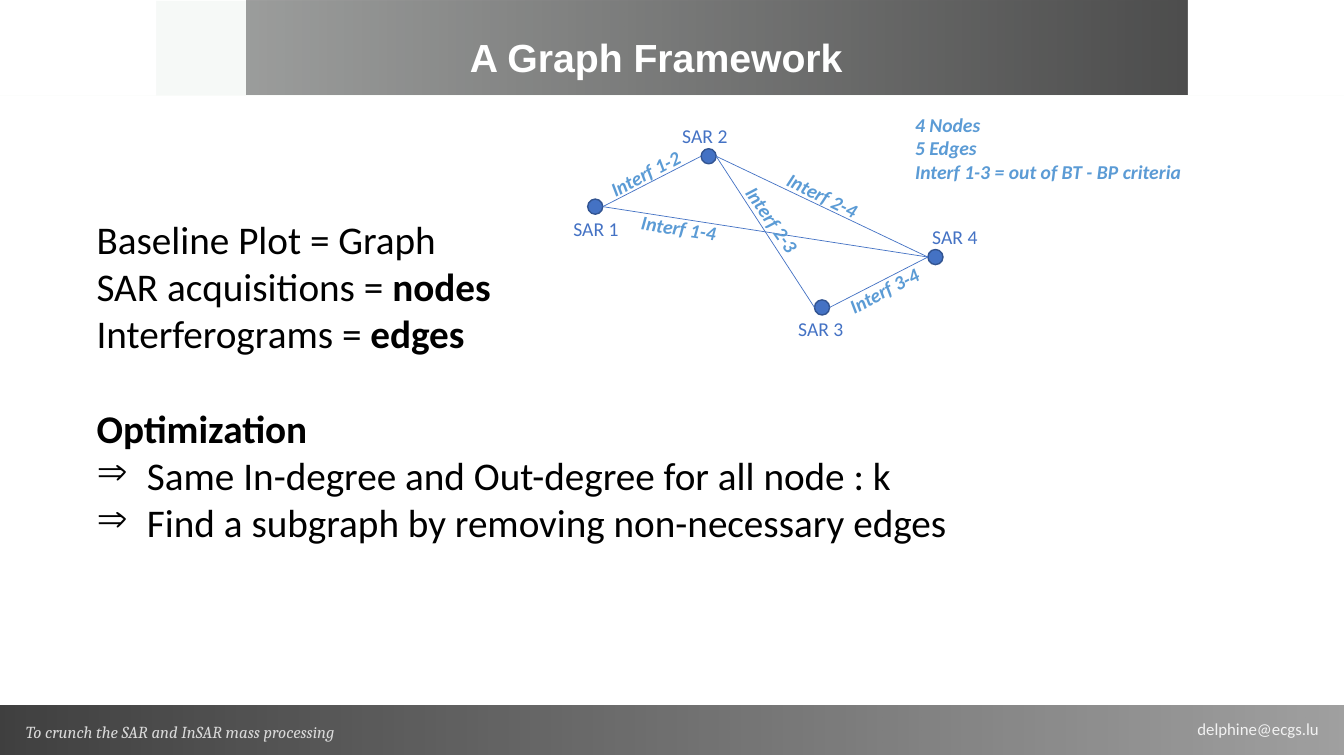
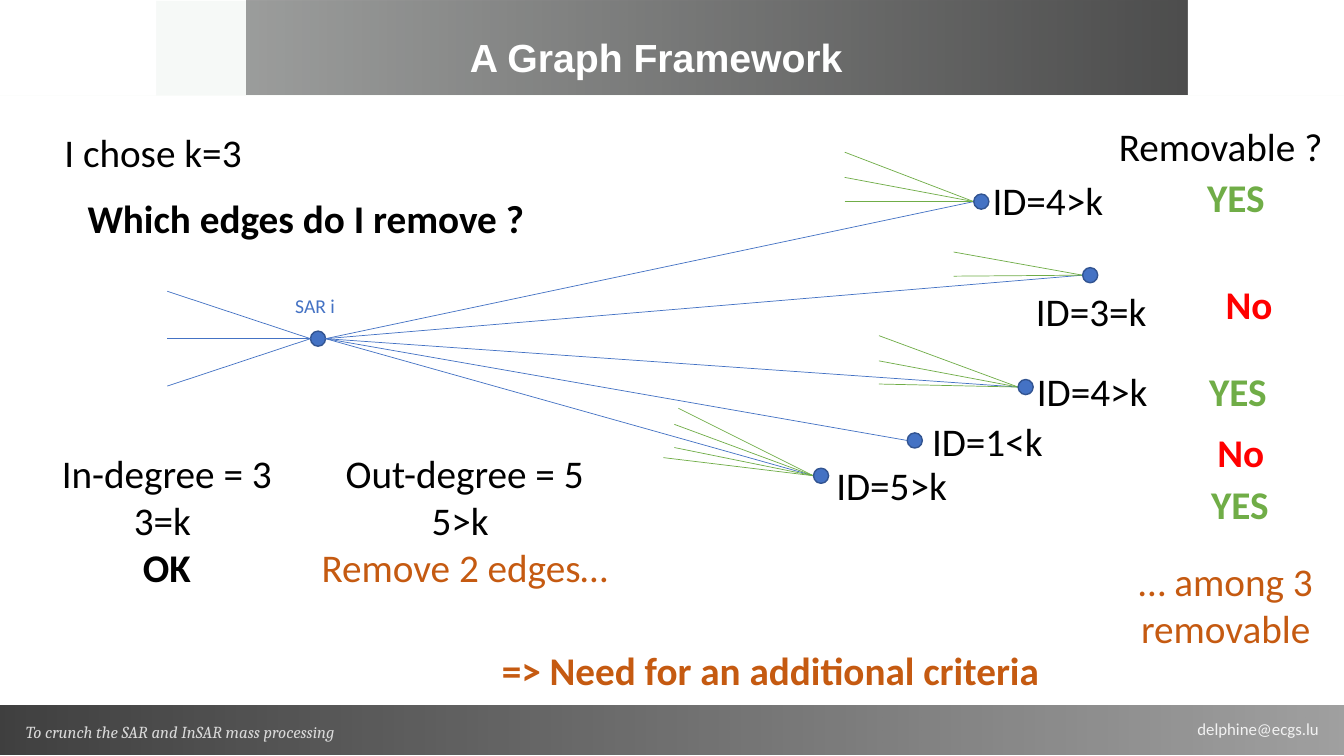
from dataclasses import dataclass
from typing import Optional

from lxml.etree import SubElement
from pptx import Presentation
from pptx.dml.color import RGBColor
from pptx.enum.shapes import MSO_CONNECTOR, MSO_SHAPE
from pptx.enum.text import MSO_ANCHOR, PP_ALIGN
from pptx.oxml.ns import qn
from pptx.shapes.autoshape import Shape
from pptx.slide import Slide
from pptx.util import Emu, Inches, Pt

CELL = Inches(0.1)
COLUMNS, ROWS = 133.33, 75
NODE = 1.5

BLACK = RGBColor(0x00, 0x00, 0x00)
WHITE = RGBColor(0xFF, 0xFF, 0xFF)
CHARCOAL = RGBColor(0x40, 0x40, 0x40)
MIST = RGBColor(0xF6, 0xF9, 0xF7)
MAIL_GREY = RGBColor(0xF2, 0xF2, 0xF2)
MOTTO_GREY = RGBColor(0xD9, 0xD9, 0xD9)
BLUE = RGBColor(0x44, 0x72, 0xC4)
NODE_RIM = RGBColor(0x32, 0x54, 0x91)
SKY = RGBColor(0x5B, 0x9B, 0xD5)
GREEN = RGBColor(0x70, 0xAD, 0x47)
RED = RGBColor(0xFF, 0x00, 0x00)
RUST = RGBColor(0xC5, 0x5A, 0x11)


@dataclass(frozen=True)
class Box:
    left: float
    top: float
    width: float
    height: float


@dataclass(frozen=True)
class Style:
    size: int = 28
    colour: RGBColor = BLACK
    bold: bool = False
    italic: bool = False
    font: str = "Calibri"
    align: PP_ALIGN = PP_ALIGN.LEFT
    outline: str = ""


@dataclass(frozen=True)
class Line:
    text: str
    style: Style
    strong: str = ""
    bullet: str = ""
    space_before: int = 0


@dataclass(frozen=True)
class Acquisition:
    name: str
    column: int
    row: int
    label_left: float
    label_top: float


@dataclass(frozen=True)
class Interferogram:
    first: int
    second: int
    label_left: float
    label_top: float
    rotation: float


@dataclass(frozen=True)
class Target:
    left: float
    middle: float
    degree: str
    degree_left: float
    degree_top: float
    removable: bool
    verdict_left: float
    verdict_top: float
    tails: tuple[tuple[float, float], ...] = ()


BODY = Style()
BODY_BOLD = Style(bold=True)
CENTRED = Style(align=PP_ALIGN.CENTER)
CENTRED_BOLD = Style(bold=True, align=PP_ALIGN.CENTER)
CENTRED_RUST = Style(colour=RUST, align=PP_ALIGN.CENTER)
YES = Style(colour=GREEN, bold=True, align=PP_ALIGN.CENTER)
NO = Style(colour=RED, bold=True, align=PP_ALIGN.CENTER)
NODE_NAME = Style(14, BLUE)
EDGE_NAME = Style(14, SKY, True, True, outline="DEEBF7")
TITLE = Style(colour=WHITE, bold=True, font="Arial", align=PP_ALIGN.CENTER)
MAIL = Style(12, MAIL_GREY)
MOTTO = Style(12, MOTTO_GREY, italic=True, font="Cambria")

ACQUISITIONS = (
    Acquisition("SAR 1", 0, 1, 55.9, 21),
    Acquisition("SAR 2", 1, 0, 66.7, 11.8),
    Acquisition("SAR 3", 2, 3, 78.2, 30.9),
    Acquisition("SAR 4", 3, 2, 91.5, 21.8),
)
INTERFEROGRAMS = (
    Interferogram(1, 2, 59.1, 14.7, 332.2),
    Interferogram(1, 4, 62.6, 21.2, 8.6),
    Interferogram(2, 3, 71.1, 21.6, 55.3),
    Interferogram(2, 4, 76.7, 18.5, 26.2),
    Interferogram(3, 4, 82.8, 26.3, 332.3),
)
TARGETS = (
    Target(96.6, 20, "ID=4>k", 91.8, 17, True, 115.7, 16.7,
           ((83.8, 15.1), (83.8, 17.6), (83.8, 20))),
    Target(107.4, 27.3, "ID=3=k", 96.1, 28, False, 117, 27.3,
           ((94.6, 25), (94.6, 27.4))),
    Target(101, 38.4, "ID=4>k", 96.2, 35.9, True, 115.9, 35.9,
           ((87.2, 33.3), (87.2, 35.8), (87.2, 38.1))),
    Target(90, 43.7, "ID=1<k", 85.8, 40.9, False, 116.2, 42),
    Target(80.7, 47.2, "ID=5>k", 76.3, 45.3, True, 116.1, 47.2,
           ((67.3, 40.5), (66.9, 42.1), (66.9, 44.4), (65.8, 45.4))),
)


def cells(count: float) -> Emu:
    return Emu(round(count * CELL))


def frame(box: Box) -> tuple[Emu, Emu, Emu, Emu]:
    return cells(box.left), cells(box.top), cells(box.width), cells(box.height)


def add_block(slide: Slide, box: Box, fill: Optional[RGBColor],
              kind: MSO_SHAPE = MSO_SHAPE.RECTANGLE) -> Shape:
    block = slide.shapes.add_shape(kind, *frame(box))
    block.shadow.inherit = False
    block.line.fill.background()
    if fill is not None:
        block.fill.solid()
        block.fill.fore_color.rgb = fill
    return block


def add_fading_band(slide: Slide, box: Box, faded_stop: int) -> None:
    band = add_block(slide, box, None)
    band.fill.gradient()
    band.fill.gradient_angle = 0
    for position, stop in enumerate(band.fill.gradient_stops):
        stop.position = position
        stop.color.rgb = CHARCOAL
    colours = list(band.fill._xPr.iter(qn("a:srgbClr")))
    SubElement(colours[faded_stop], qn("a:alpha"), val="50000")


def add_bullet(paragraph, bullet: str) -> None:
    properties = paragraph._p.get_or_add_pPr()
    properties.set("marL", str(cells(5)))
    properties.set("indent", str(-cells(5)))
    SubElement(properties, qn("a:buChar"), char=bullet)


def add_outline(run, colour: str) -> None:
    properties = run._r.get_or_add_rPr()
    outline = SubElement(properties, qn("a:ln"), w=str(Pt(0.75)))
    SubElement(SubElement(outline, qn("a:solidFill")), qn("a:srgbClr"), val=colour)
    properties.insert(0, outline)


def write(shape: Shape, lines: list[Line], anchor: MSO_ANCHOR) -> None:
    text_frame = shape.text_frame
    text_frame.word_wrap = True
    text_frame.vertical_anchor = anchor
    text_frame.text = "\n".join(line.text for line in lines)
    for paragraph, line in zip(text_frame.paragraphs, lines):
        style = line.style
        if line.bullet:
            add_bullet(paragraph, line.bullet)
        paragraph.alignment = style.align
        if line.space_before:
            paragraph.space_before = Pt(line.space_before)
        if line.strong:
            paragraph.add_run().text = line.strong
        for index, run in enumerate(paragraph.runs):
            run.font.name = style.font
            run.font.size = Pt(style.size)
            run.font.bold = style.bold or index > 0
            run.font.italic = style.italic
            run.font.color.rgb = style.colour
            if style.outline:
                add_outline(run, style.outline)


def add_text(slide: Slide, box: Box, *lines: Line, rotation: float = 0,
             anchor: MSO_ANCHOR = MSO_ANCHOR.TOP) -> None:
    label = slide.shapes.add_textbox(*frame(box))
    label.rotation = rotation
    write(label, list(lines), anchor)


def add_edge(slide: Slide, start: tuple[float, float], end: tuple[float, float],
             colour: RGBColor = BLUE) -> None:
    edge = slide.shapes.add_connector(
        MSO_CONNECTOR.STRAIGHT, *(cells(value) for value in (*start, *end)))
    edge.line.color.rgb = colour
    edge.line.width = Pt(0.5)
    SubElement(edge._element.spPr, qn("a:effectLst"))


def add_node(slide: Slide, left: float, middle: float) -> None:
    node = add_block(slide, Box(left, middle - NODE / 2, NODE, NODE), BLUE, MSO_SHAPE.OVAL)
    node.line.color.rgb = NODE_RIM
    node.line.width = Pt(1)


def add_framework_slide(deck) -> Slide:
    slide = deck.slides.add_slide(deck.slide_layouts[6])
    add_fading_band(slide, Box(0, 70, COLUMNS, 4.9), 1)
    add_text(slide, Box(117.8, 70.8, 15.5, 3), Line("delphine@ecgs.lu", MAIL))
    add_block(slide, Box(0, 0.1, COLUMNS, 9.4), MIST)
    add_fading_band(slide, Box(24.5, 0, COLUMNS - 24.5, 9.4), 0)
    for left in (0, COLUMNS - 15.5):
        add_block(slide, Box(left, 0, 15.5, 9.5), WHITE)
    add_text(slide, Box(1.6, 71.1, 36, 3),
             Line("To crunch the SAR and InSAR mass processing", MOTTO))
    add_text(slide, Box(8.6, 0.7, 113, 9.8), Line("A Graph Framework", TITLE),
             anchor=MSO_ANCHOR.MIDDLE)
    return slide


def add_baseline_graph(slide: Slide) -> None:
    add_text(
        slide, Box(8.6, 11.3, 113, 52.9),
        Line("Baseline Plot = Graph", BODY),
        Line("SAR acquisitions = ", BODY, strong="nodes"),
        Line("Interferograms = ", BODY, strong="edges"),
        Line("Optimization", BODY_BOLD, space_before=34),
        Line("Same In-degree and Out-degree for all node : k", BODY, bullet="⇒"),
        Line("Find a subgraph by removing non-necessary edges", BODY, bullet="⇒"),
        anchor=MSO_ANCHOR.MIDDLE)
    places = [(58.3 + 11.25 * item.column, 15.5 + 5 * item.row) for item in ACQUISITIONS]
    for item, place in zip(ACQUISITIONS, places):
        add_node(slide, *place)
        add_text(slide, Box(item.label_left, item.label_top, 10.3, 3.4),
                 Line(item.name, NODE_NAME))
    for pair in INTERFEROGRAMS:
        left, middle = places[pair.first - 1]
        add_edge(slide, (left + NODE, middle), places[pair.second - 1])
        add_text(slide, Box(pair.label_left, pair.label_top, 13, 3.4),
                 Line(f"Interf {pair.first}-{pair.second}", EDGE_NAME),
                 rotation=pair.rotation)
    add_text(slide, Box(89.8, 10.7, 29.6, 8.1),
             Line("4 Nodes", EDGE_NAME), Line("5 Edges", EDGE_NAME),
             Line("Interf 1-3 = out of BT - BP criteria", EDGE_NAME))


def add_edge_removal(slide: Slide) -> None:
    add_text(slide, Box(5.4, 12.2, 50, 5.7), Line("I chose k=3", BODY))
    add_text(slide, Box(7.7, 18.8, 60, 5.7), Line("Which edges do I remove ?", BODY_BOLD))
    hub_left, hub_middle = 30.8, 33.6
    add_node(slide, hub_left, hub_middle)
    add_text(slide, Box(28.3, 28.7, 10.3, 3.4), Line("SAR i", NODE_NAME))
    for rise in (-4.7, 0, 4.7):
        add_edge(slide, (hub_left, hub_middle), (16.6, hub_middle + rise))
    add_text(slide, Box(4.4, 44.1, 24.3, 15.1), Line("In-degree = 3", CENTRED),
             Line("3=k ", CENTRED), Line("OK", CENTRED_BOLD))
    add_text(slide, Box(30.8, 44.1, 30.6, 15.1), Line("Out-degree = 5", CENTRED),
             Line("5>k ", CENTRED), Line("Remove 2 edges…", CENTRED_RUST))
    for target in TARGETS:
        tip = (target.left, target.middle)
        add_edge(slide, (hub_left + NODE, hub_middle), tip)
        for tail in target.tails:
            add_edge(slide, tail, tip, GREEN)
        add_node(slide, *tip)
    for target in TARGETS:
        add_text(slide, Box(target.degree_left, target.degree_top, 24.3, 5.7),
                 Line(target.degree, CENTRED))
    add_text(slide, Box(109.1, 11.6, 24, 5.7), Line("Removable ?", CENTRED))
    for target in TARGETS:
        verdict = add_block(slide, Box(target.verdict_left, target.verdict_top, 13.8, 5.7), WHITE)
        answer = Line("YES", YES) if target.removable else Line("No", NO)
        write(verdict, [answer], MSO_ANCHOR.TOP)
    add_text(slide, Box(110.1, 54.8, 23, 10.4), Line("… among 3 removable", CENTRED_RUST))
    add_text(slide, Box(48.8, 63.6, 66.8, 5.7),
             Line("=> Need for an additional criteria", Style(colour=RUST, bold=True)))


def main() -> None:
    deck = Presentation()
    deck.slide_width, deck.slide_height = cells(COLUMNS), cells(ROWS)
    add_baseline_graph(add_framework_slide(deck))
    add_edge_removal(add_framework_slide(deck))
    deck.save("out.pptx")


if __name__ == "__main__":
    main()
